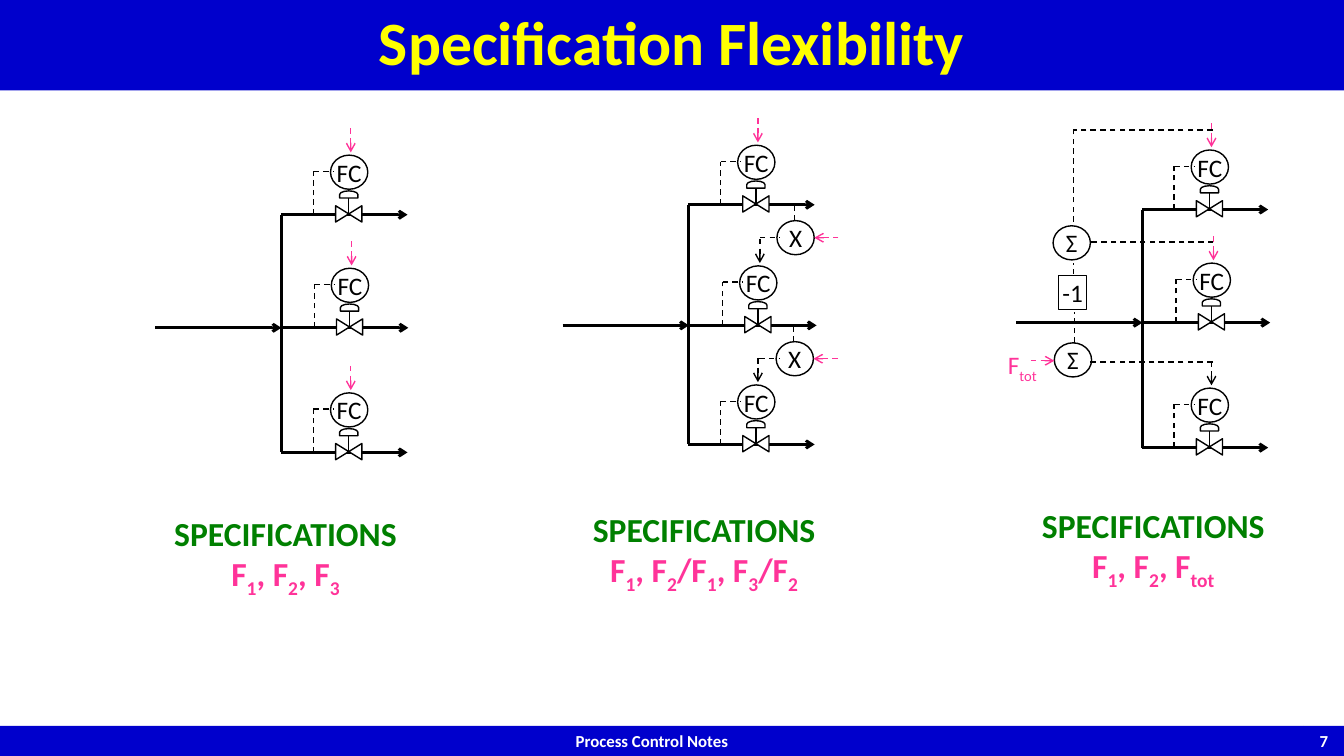
from dataclasses import dataclass

from pptx import Presentation
from pptx.dml.color import RGBColor
from pptx.enum.dml import MSO_LINE
from pptx.enum.shapes import MSO_CONNECTOR, MSO_SHAPE
from pptx.enum.text import MSO_ANCHOR, PP_ALIGN
from pptx.oxml.ns import qn
from pptx.util import Cm, Pt
from lxml.etree import SubElement

BLUE = RGBColor(0x00, 0x00, 0xCC)
YELLOW = RGBColor(0xFF, 0xFF, 0x00)
WHITE = RGBColor(0xFF, 0xFF, 0xFF)
BLACK = RGBColor(0x00, 0x00, 0x00)
PINK = RGBColor(0xFF, 0x33, 0x99)
GREEN = RGBColor(0x00, 0x80, 0x00)
FONT = "Calibri"
BRANCH_LENGTH = 3.18
BALLOON_WIDTH, BALLOON_HEIGHT = 0.94, 0.86


@dataclass(frozen=True)
class Branch:
    """One controlled outlet: where it leaves the header, and its set point."""
    x: float
    y: float
    setpoint: RGBColor


@dataclass(frozen=True)
class Panel:
    """One piping scheme; odd parts of the formula, split at |, are subscripts."""
    header: float
    branches: tuple[Branch, Branch, Branch]
    caption_x: float
    caption_y: float
    formula: str


PANELS = (
    Panel(7.09, (Branch(7.09, 5.41, PINK), Branch(7.11, 8.26, PINK),
                 Branch(7.09, 11.4, PINK)), 4.11, 12.8, "F|1|, F|2|, F|3"),
    Panel(17.36, (Branch(17.35, 5.16, PINK), Branch(17.4, 8.2, BLACK),
                  Branch(17.35, 11.2, BLACK)), 14.66, 12.7,
          "F|1|, F|2|/F|1|, F|3|/F|2"),
    Panel(28.79, (Branch(28.78, 5.28, PINK), Branch(28.83, 8.13, PINK),
                  Branch(28.78, 11.28, BLACK)), 25.98, 12.6,
          "F|1|, F|2|, F|tot"),
)
MULTIPLIERS = ((20.05, 5.99), (20.03, 9.04))
SUMMERS = ((27.01, 6.12), (27.04, 9.07))
SUMMER_SIGNALS = (
    (30.56, 3.28, 27.05, 3.28), (30.58, 6.1, 27.48, 6.1),
    (27.05, 5.59, 27.05, 3.28), (27.05, 6.91, 27.05, 6.63),
    (27.08, 8.64, 27.08, 7.85), (30.56, 9.12, 27.46, 9.12),
)


def add_text(para, text: str, size: float, color: RGBColor, bold=False):
    """Append the runs of a text, lowering every second part split at |."""
    for index, part in enumerate(text.split("|")):
        span = para.add_run()
        span.text = part
        span.font.name = FONT
        span.font.size = Pt(size)
        span.font.bold = bold
        span.font.color.rgb = color
        if index % 2:
            span._r.get_or_add_rPr().set("baseline", "-25000")


def add_line(x1: float, y1: float, x2: float, y2: float, color=BLACK,
             width=1.0, dashed=False, arrow=False):
    """Draw a straight line, with an open arrowhead at its end if asked."""
    line = page.shapes.add_connector(MSO_CONNECTOR.STRAIGHT,
                                     Cm(x1), Cm(y1), Cm(x2), Cm(y2))
    line.line.color.rgb = color
    line.line.width = Pt(width)
    if dashed:
        line.line.dash_style = MSO_LINE.DASH
    if arrow:
        SubElement(line.line._get_or_add_ln(), qn("a:tailEnd"), type="arrow")
    SubElement(line._element.spPr, qn("a:effectLst"))


def add_signal(x1: float, y1: float, x2: float, y2: float, color=BLACK,
               arrow=False):
    """Draw a dashed control signal."""
    add_line(x1, y1, x2, y2, color, dashed=True, arrow=arrow)


def add_symbol(kind: MSO_SHAPE, x: float, y: float, width: float, height: float,
               text="", fill=None, rotation=0):
    """Draw an outlined symbol about its centre, with an optional label."""
    symbol = page.shapes.add_shape(kind, Cm(x - width / 2), Cm(y - height / 2),
                                   Cm(width), Cm(height))
    symbol.shadow.inherit = False
    symbol.rotation = rotation
    symbol.line.color.rgb = BLACK
    symbol.line.width = Pt(1)
    if fill is None:
        symbol.fill.background()
    else:
        symbol.fill.solid()
        symbol.fill.fore_color.rgb = fill
    if text:
        frame = symbol.text_frame
        frame.word_wrap = False
        frame.vertical_anchor = MSO_ANCHOR.MIDDLE
        frame.margin_left = frame.margin_right = Cm(0)
        frame.margin_top = frame.margin_bottom = Cm(0)
        frame.paragraphs[0].alignment = PP_ALIGN.CENTER
        add_text(frame.paragraphs[0], text, 18, BLACK)


def add_balloon(x: float, y: float, text: str):
    """Draw a round instrument balloon about its centre."""
    add_symbol(MSO_SHAPE.OVAL, x, y, BALLOON_WIDTH, BALLOON_HEIGHT, text)


def add_branch(branch: Branch):
    """Draw an outlet with its valve, flow controller and set point."""
    x, y = branch.x, branch.y
    add_line(x, y, x + BRANCH_LENGTH, y, width=2, arrow=True)
    add_symbol(MSO_SHAPE.FLOWCHART_COLLATE, x + 1.7, y - 0.02, 0.41, 0.66,
               fill=WHITE, rotation=270)
    add_symbol(MSO_SHAPE.FLOWCHART_DELAY, x + 1.7, y - 0.51, 0.18, 0.46,
               rotation=270)
    add_line(x + 1.7, y - 0.03, x + 1.7, y - 0.43)
    add_balloon(x + 1.71, y - 1.07, "FC")
    add_signal(x + 0.81, y, x + 0.81, y - 1.09)
    add_signal(x + 0.81, y - 1.09, x + 1.32, y - 1.09)
    add_signal(x + 1.75, y - 2.18, x + 1.75, y - 1.57, branch.setpoint, True)


def add_panel(panel: Panel):
    """Draw the feed, header, outlets and caption of one scheme."""
    top, middle, bottom = panel.branches
    add_line(panel.header - BRANCH_LENGTH, middle.y, panel.header, middle.y,
             width=2, arrow=True)
    add_line(panel.header, top.y, panel.header, bottom.y, width=2)
    for branch in panel.branches:
        add_branch(branch)
    box = page.shapes.add_textbox(Cm(panel.caption_x), Cm(panel.caption_y),
                                  Cm(6.17), Cm(2.31))
    frame = box.text_frame
    frame.word_wrap = False
    heading, formula = frame.paragraphs[0], frame.add_paragraph()
    heading.alignment = formula.alignment = PP_ALIGN.CENTER
    add_text(heading, "SPECIFICATIONS", 24, GREEN, True)
    add_text(formula, panel.formula, 24, PINK, True)


def add_footer(left: float, width: float, text: str):
    """Draw one part of the footer band."""
    band = page.shapes.add_shape(MSO_SHAPE.RECTANGLE, Cm(left), Cm(18.29),
                                 Cm(width), Cm(0.76))
    band.shadow.inherit = False
    band.fill.solid()
    band.fill.fore_color.rgb = BLUE
    band.line.fill.background()
    band.text_frame.word_wrap = False
    band.text_frame.paragraphs[0].alignment = PP_ALIGN.CENTER
    add_text(band.text_frame.paragraphs[0], text, 12, WHITE, True)


deck = Presentation()
deck.slide_width, deck.slide_height = Cm(33.87), Cm(19.05)
page = deck.slides.add_slide(deck.slide_layouts[5])

add_footer(0, 32.86, "Process Control Notes")
add_footer(32.86, 1.01, "7")

title = page.shapes.title
title.left, title.top, title.width, title.height = Cm(0), Cm(0), Cm(33.87), Cm(2.28)
title.fill.solid()
title.fill.fore_color.rgb = BLUE
title.text_frame.vertical_anchor = MSO_ANCHOR.MIDDLE
title_para = title.text_frame.paragraphs[0]
title_para.alignment = PP_ALIGN.CENTER
title_para.line_spacing = 0.9
add_text(title_para, "Specification Flexibility", 44, YELLOW, True)

for scheme in PANELS:
    add_panel(scheme)

for ratio_x, ratio_y in MULTIPLIERS:
    add_balloon(ratio_x, ratio_y, "X")
    add_signal(ratio_x - 0.03, ratio_y - 0.43, ratio_x - 0.03, ratio_y - 0.84)
    add_signal(ratio_x - 0.9, ratio_y, ratio_x - 0.4, ratio_y)
    add_signal(ratio_x + 1.08, ratio_y, ratio_x + 0.47, ratio_y, PINK, True)

for sum_x, sum_y in SUMMERS:
    add_balloon(sum_x, sum_y, "Σ")
add_symbol(MSO_SHAPE.RECTANGLE, 27.03, 7.37, 0.71, 0.86, "-1")
for signal in SUMMER_SIGNALS:
    add_signal(*signal)
add_signal(25.98, 9.09, 26.57, 9.09, PINK, True)
total_box = page.shapes.add_textbox(Cm(25.15), Cm(8.69), Cm(1.32), Cm(1.02))
total_box.text_frame.word_wrap = False
add_text(total_box.text_frame.paragraphs[0], "F|tot", 18, PINK)

deck.save("out.pptx")
